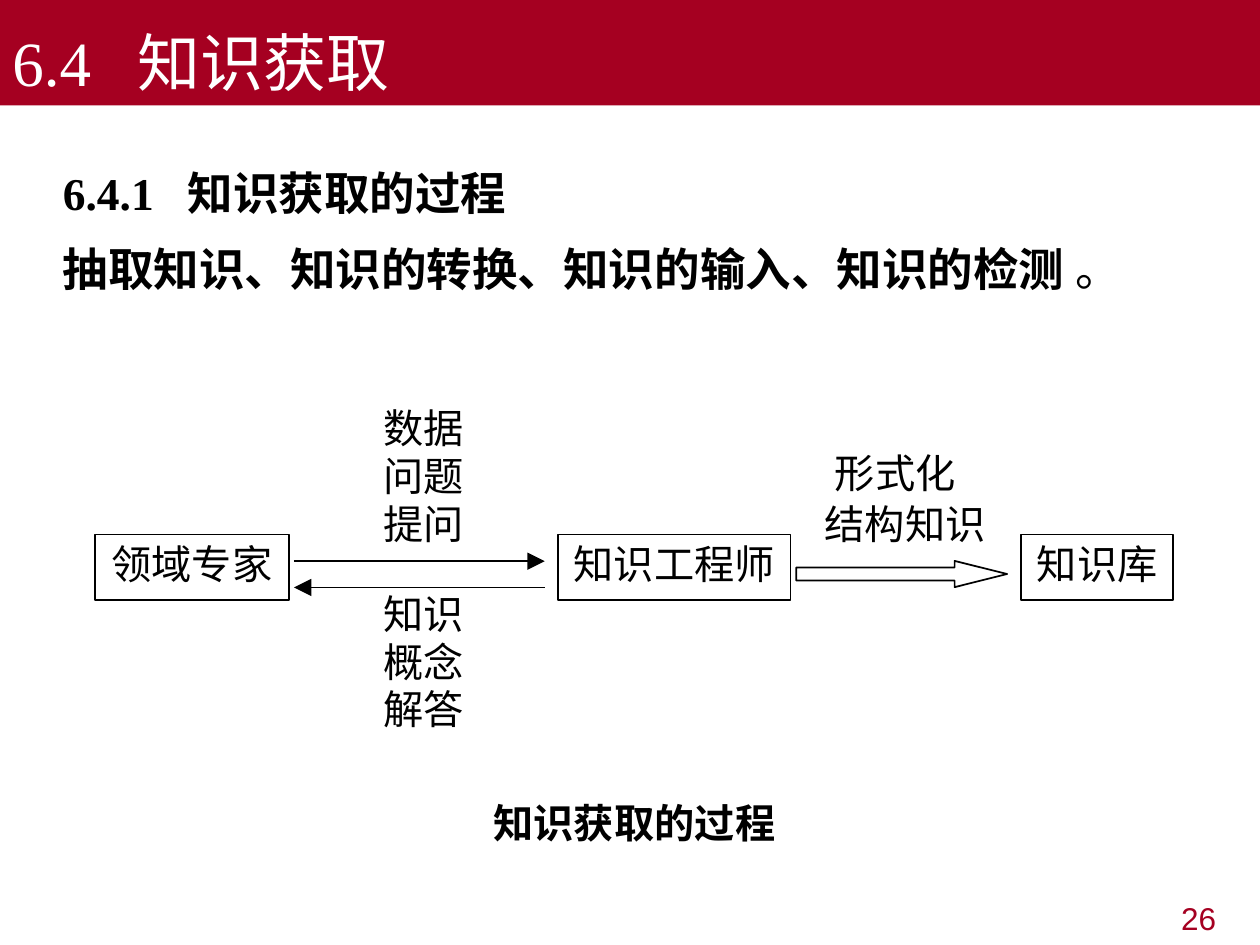
from lxml.etree import SubElement
from pptx import Presentation
from pptx.dml.color import RGBColor
from pptx.enum.shapes import MSO_CONNECTOR as Connector, MSO_SHAPE as Shape
from pptx.enum.text import MSO_ANCHOR as Anchor, PP_ALIGN as Align
from pptx.oxml.ns import qn
from pptx.util import Pt

CRIMSON, BLACK, WHITE = "A50021", "000000", "FFFFFF"
SERIF, CJK, SANS = "Times New Roman", "Noto Sans CJK SC", "Arial"
LABEL_SIZE, LABEL_PITCH = 23, 27.2
NUMBER_TAB = 71.4

TITLE = "6.4\t知识获取"
HEADING = "6.4.1\t知识获取的过程"
STEPS = ["抽取知识、知识的转换、知识的输入、知识的检测", " 。"]
PAGE_NUMBER = "26"
BOX_TOP, BOX_HEIGHT = 305.5, 37.5
BOXES = [("领域专家", 54.5, 110.5), ("知识工程师", 319, 132.7), ("知识库", 583.5, 87)]
LABELS = [
    (["数据", "问题", "提问"], 219, 231, 50, False),
    (["知识", "概念", "解答"], 219, 337.2, 50, False),
    (["形式化"], 477, 256.8, 73, False),
    (["结构知识"], 471.3, 285.7, 96, False),
    (["知识获取的过程"], 282, 456.4, 165, True),
]
ARROWS = [(168, 311.3, 320.7), (311.3, 168, 335.7)]


def color(value):
    return RGBColor.from_string(value)


def set_font(paragraph, size, name, value, bold=False):
    font = paragraph.font
    font.size, font.name, font.bold = Pt(size), name, bold
    font.color.rgb = color(value)
    if name == CJK:
        properties = paragraph._p.pPr.find(qn("a:defRPr"))
        SubElement(properties, qn("a:ea"), typeface=CJK)


def add_tab(paragraph):
    tabs = SubElement(paragraph._p.get_or_add_pPr(), qn("a:tabLst"))
    SubElement(tabs, qn("a:tab"), pos=str(Pt(NUMBER_TAB)), algn="l")


def set_margins(frame, side, top):
    frame.margin_left = frame.margin_right = Pt(side)
    frame.margin_top = frame.margin_bottom = Pt(top)


def add_text(left, top, width, height):
    frame = slide.shapes.add_textbox(Pt(left), Pt(top), Pt(width), Pt(height)).text_frame
    frame.word_wrap = True
    return frame


def add_outline(kind, left, top, width, height):
    shape = slide.shapes.add_shape(kind, Pt(left), Pt(top), Pt(width), Pt(height))
    shape.shadow.inherit = False
    shape.fill.background()
    shape.line.color.rgb = color(BLACK)
    shape.line.width = Pt(1)
    return shape


def fill_lines(frame, lines, align, bold=False):
    frame.text = "\n".join(lines)
    for paragraph in frame.paragraphs:
        paragraph.alignment = align
        paragraph.line_spacing = Pt(LABEL_PITCH)
        set_font(paragraph, LABEL_SIZE, CJK, BLACK, bold)


presentation = Presentation()
presentation.slide_width, presentation.slide_height = Pt(720), Pt(540)
slide = presentation.slides.add_slide(presentation.slide_layouts[6])

banner = add_outline(Shape.RECTANGLE, 0, 0, 720, 60.3)
banner.fill.solid()
banner.fill.fore_color.rgb = color(CRIMSON)
banner.line.fill.background()
banner.text_frame.vertical_anchor = Anchor.BOTTOM
banner.text_frame.text = TITLE
title = banner.text_frame.paragraphs[0]
title.alignment = Align.LEFT
add_tab(title)
set_font(title, 36, SERIF, WHITE)

body = add_text(28.8, 78.1, 649.4, 95)
heading, steps = body.paragraphs[0], body.add_paragraph()
heading.line_spacing = steps.line_spacing = 1.4
heading.add_run().text = HEADING
add_tab(heading)
for text, bold in zip(STEPS, (True, False)):
    run = steps.add_run()
    run.text, run.font.bold = text, bold
for paragraph in (heading, steps):
    set_font(paragraph, 26, SERIF, BLACK, True)

for text, left, width in BOXES:
    box = add_outline(Shape.RECTANGLE, left, BOX_TOP, width, BOX_HEIGHT)
    box.text_frame.vertical_anchor = Anchor.TOP
    set_margins(box.text_frame, 0, 3.2)
    fill_lines(box.text_frame, [text], Align.CENTER)

for lines, left, top, width, bold in LABELS:
    label = add_text(left, top, width, LABEL_PITCH * len(lines))
    set_margins(label, 0, 0)
    fill_lines(label, lines, Align.LEFT, bold)

for start, end, y in ARROWS:
    arrow = slide.shapes.add_connector(Connector.STRAIGHT, Pt(start), Pt(y), Pt(end), Pt(y))
    arrow.line.color.rgb = color(BLACK)
    arrow.line.width = Pt(1)
    SubElement(arrow.line._get_or_add_ln(), qn("a:tailEnd"), type="triangle", w="lg", len="lg")
    SubElement(arrow._element.spPr, qn("a:effectLst"))

block_arrow = add_outline(Shape.RIGHT_ARROW, 455, 320.5, 120.5, 15)
block_arrow.adjustments[0] = 0.5
block_arrow.adjustments[1] = 2

number = add_text(545.8, 510, 156.2, 28.1)
number.text = PAGE_NUMBER
number.paragraphs[0].alignment = Align.RIGHT
set_font(number.paragraphs[0], 18, SANS, CRIMSON)

presentation.save("out.pptx")
